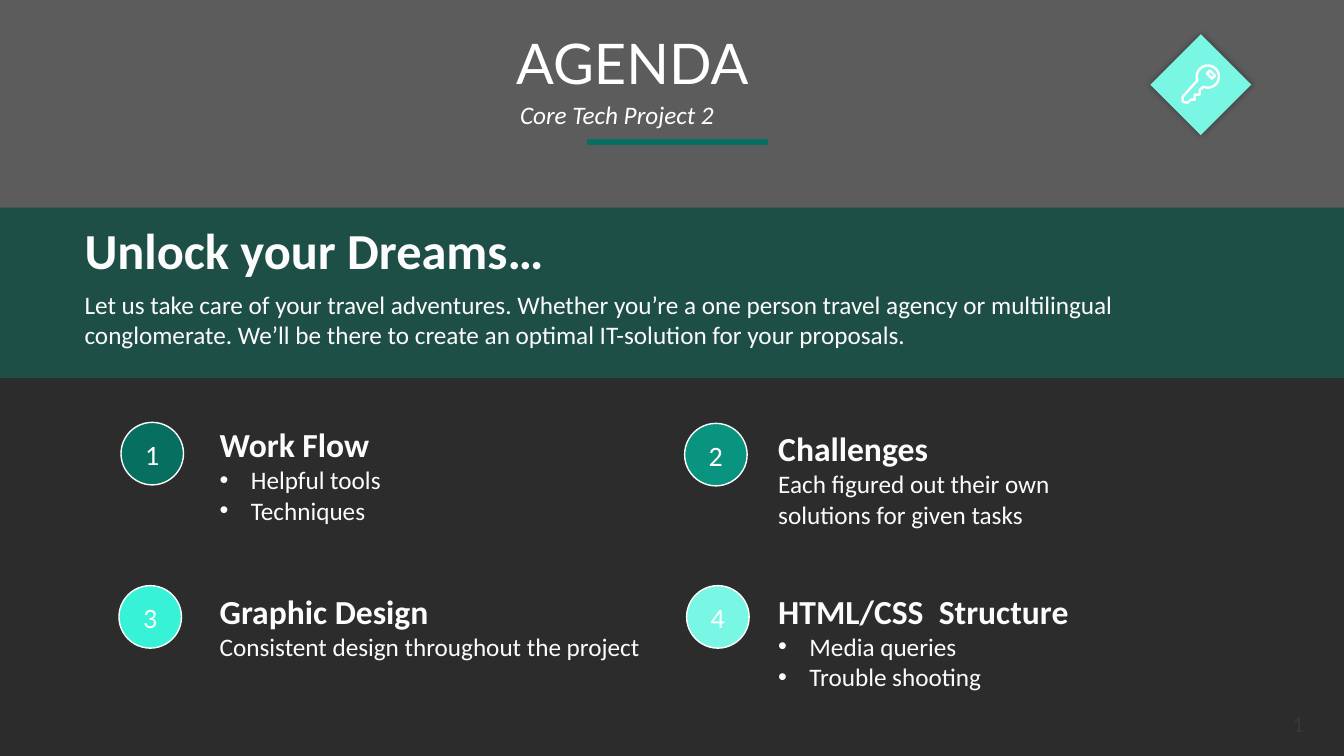
import math

import lxml.etree
import pptx
import pptx.dml.color
import pptx.enum.shapes
import pptx.enum.text
import pptx.oxml.ns
import pptx.util

Inches = pptx.util.Inches
Pt = pptx.util.Pt
SHAPES = pptx.enum.shapes.MSO_SHAPE
ALIGN = pptx.enum.text.PP_ALIGN


def color(value):
    return pptx.dml.color.RGBColor.from_string(value)


def child(parent, tag, **attributes):
    return lxml.etree.SubElement(parent, pptx.oxml.ns.qn(tag), attributes)


def write(frame, lines, size=18, font="Calibri", ink="FCFCFC", bold=False,
          italic=False, align=ALIGN.LEFT, wrap=True, heading=None, bullets=False):
    frame.word_wrap = wrap
    frame.auto_size = pptx.enum.text.MSO_AUTO_SIZE.NONE
    frame.vertical_anchor = pptx.enum.text.MSO_ANCHOR.TOP
    rows = [(line, size, bold, bullets) for line in lines]
    if heading:
        rows.insert(0, (heading, 24, True, False))
    for index, (line, points, heavy, bullet) in enumerate(rows):
        para = frame.add_paragraph() if index else frame.paragraphs[0]
        para.alignment = align
        if bullet:
            properties = para._p.get_or_add_pPr()
            properties.set("marL", str(Inches(0.31)))
            properties.set("indent", str(-Inches(0.31)))
            child(properties, "a:buFont", typeface="Arial")
            child(properties, "a:buChar", char="•")
        span = para.add_run()
        span.text = line
        span.font.size = Pt(points)
        span.font.name = font
        span.font.bold = heavy
        span.font.italic = italic
        span.font.color.rgb = color(ink)


class AgendaSlide:
    green = "066F5F"
    white = "FFFFFF"
    pale = "FCFCFC"
    mint = "79F6E4"

    def __init__(self, deck):
        self.page = deck.slides.add_slide(deck.slide_layouts[5])
        fill = self.page.background.fill
        fill.gradient()
        fill.gradient_angle = 90
        for stop, tone in zip(fill.gradient_stops, ("F2F2F2", self.pale)):
            stop.color.rgb = color(tone)

    def shape(self, kind, left, top, width, height, fill, opacity=None, outline=None):
        shape = self.page.shapes.add_shape(
            kind, Inches(left), Inches(top), Inches(width), Inches(height))
        shape.shadow.inherit = False
        shape.fill.solid()
        shape.fill.fore_color.rgb = color(fill)
        if opacity:
            tone = shape._element.spPr.find(".//" + pptx.oxml.ns.qn("a:srgbClr"))
            child(tone, "a:alpha", val=str(opacity * 1000))
        if outline:
            shape.line.color.rgb = color(outline)
            shape.line.width = Pt(1)
        else:
            shape.line.fill.background()
        return shape

    def text(self, left, top, width, height, lines, **style):
        box = self.page.shapes.add_textbox(
            Inches(left), Inches(top), Inches(width), Inches(height))
        write(box.text_frame, lines, **style)
        return box

    def title(self, left, top, width, height, line, **style):
        title = self.page.shapes.title
        title.left, title.top = Inches(left), Inches(top)
        title.width, title.height = Inches(width), Inches(height)
        write(title.text_frame, [line], **style)
        title._element.getparent().append(title._element)

    def rule(self, left, right, top):
        line = self.page.shapes.add_connector(
            pptx.enum.shapes.MSO_CONNECTOR.STRAIGHT,
            Inches(left), Inches(top), Inches(right), Inches(top))
        line.line.color.rgb = color(self.green)
        line.line.width = Pt(4.5)
        child(line._element.spPr, "a:effectLst")

    def outline(self, points):
        corners = [(Inches(x), Inches(y)) for x, y in points]
        builder = self.page.shapes.build_freeform(*corners[0])
        builder.add_line_segments(corners[1:], close=True)
        shape = builder.convert_to_shape()
        shape.shadow.inherit = False
        shape.fill.background()
        shape.line.color.rgb = color(self.pale)
        shape.line.width = Pt(1.75)
        return shape

    def topic(self, number, left, top, fill, text_left, text_top, heading, lines, bullets):
        self.shape(SHAPES.OVAL, left, top, 0.62, 0.62, fill, outline=self.white)
        self.text(left + 0.14, top + 0.1, 0.34, 0.44, [str(number)], size=20,
                  ink=self.white, align=ALIGN.CENTER, wrap=False)
        self.text(text_left, text_top, 4.45, 1.35, lines, heading=heading, bullets=bullets)

    def key_badge(self):
        diamond = self.shape(SHAPES.DIAMOND, 11.41, 0.34, 1, 1, self.mint)
        effects = diamond._element.spPr.find(pptx.oxml.ns.qn("a:effectLst"))
        shadow = child(effects, "a:outerShdw", blurRad=str(Pt(5)), dist="0", dir="0")
        child(child(shadow, "a:srgbClr", val="000000"), "a:alpha", val="40000")
        bow = [(11.98 + 0.11 * math.cos(math.radians(angle)),
                0.76 + 0.11 * math.sin(math.radians(angle)))
               for angle in range(112, -212, -12)]
        blade = [(11.73, 0.96), (11.73, 1.01), (11.78, 1.02), (11.81, 0.99),
                 (11.85, 0.99), (11.85, 0.94), (11.9, 0.94), (11.9, 0.89)]
        self.outline(bow + blade)
        self.outline([(12, 0.7), (12.05, 0.75), (12.02, 0.78), (11.97, 0.73)])

    def page_number(self):
        box = self.text(12.3, 7, 0.73, 0.4, ["1"], size=16, ink="383838", align=ALIGN.RIGHT)
        span = box.text_frame.paragraphs[0].runs[0]._r
        field = child(span.getparent(), "a:fld", type="slidenum",
                      id="{B6F15528-21DE-4FAA-801E-634DDDAF4B2B}")
        field.extend(list(span))
        span.getparent().remove(span)


def main():
    deck = pptx.Presentation()
    deck.slide_width, deck.slide_height = Inches(13.33), Inches(7.5)
    agenda = AgendaSlide(deck)
    agenda.shape(SHAPES.RECTANGLE, 0, 0, 13.33, 7.5, "5C5C5C")
    agenda.shape(SHAPES.RECTANGLE, 0, 3.75, 13.33, 3.75, "202020", opacity=80)
    agenda.shape(SHAPES.RECTANGLE, 0, 2.06, 13.33, 1.69, "044A3F", opacity=70)
    agenda.page_number()
    agenda.text(0.74, 2.12, 4.8, 0.71, ["Unlock your Dreams…"], size=36, bold=True, wrap=False)
    agenda.text(0.74, 2.82, 10.88, 0.71, [
        "Let us take care of your travel adventures. Whether you’re a one person travel "
        "agency or multilingual conglomerate. We’ll be there to create an optimal "
        "IT-solution for your proposals."])
    topics = [
        (1.2, 4.19, agenda.green, 2.08, 4.16, "Work Flow",
         ["Helpful tools", "Techniques"], True),
        (6.79, 4.2, "099480", 7.62, 4.2, "Challenges",
         ["Each figured out their own", "solutions for given tasks"], False),
        (1.18, 5.81, "37F2D7", 2.08, 5.81, "Graphic Design",
         ["Consistent design throughout the project"], False),
        (6.81, 5.81, agenda.mint, 7.62, 5.81, "HTML/CSS  Structure",
         ["Media queries", "Trouble shooting"], True),
    ]
    for number, topic in enumerate(topics, 1):
        agenda.topic(number, *topic)
    agenda.title(5.02, 0.23, 2.57, 0.77, "AGENDA", size=40, font="Lato",
                 ink=agenda.white, wrap=False)
    agenda.text(5.06, 0.94, 2.14, 0.4, ["Core Tech Project 2"], ink=agenda.white,
                italic=True, wrap=False)
    agenda.rule(5.82, 7.62, 1.41)
    agenda.key_badge()
    deck.save("out.pptx")


if __name__ == "__main__":
    main()
